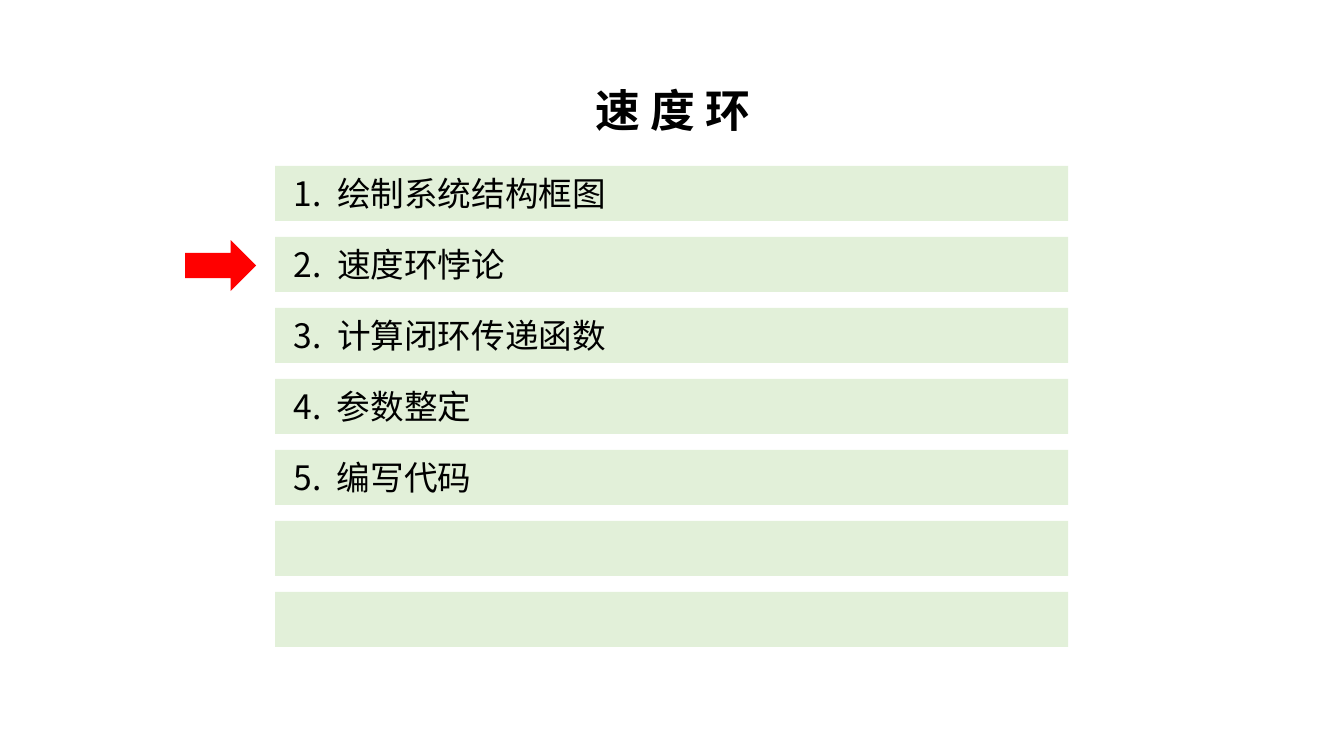
from lxml import etree
from pptx import Presentation
from pptx.dml.color import RGBColor
from pptx.enum.shapes import MSO_SHAPE
from pptx.enum.text import MSO_ANCHOR, PP_ALIGN
from pptx.oxml.ns import qn
from pptx.util import Inches, Pt

RECT, ARROW = MSO_SHAPE.RECTANGLE, MSO_SHAPE.RIGHT_ARROW
MIDDLE = MSO_ANCHOR.MIDDLE
LEFT, CENTER = PP_ALIGN.LEFT, PP_ALIGN.CENTER
SCALE = 914400 / 100.8
FONT = "Noto Sans CJK SC"
COLORS = {"ink": "000000", "bar": "E2F0D9", "mark": "FF0000"}
STEPS = ["绘制系统结构框图", "速度环悖论", "计算闭环传递函数", "参数整定", "编写代码"]
ROWS, TOP, PITCH = 7, 166, 71
TAB = 43


def px(*sizes):
    return [round(size * SCALE) for size in sizes]


class Agenda:
    """Draws the agenda's bars, labels and marker on one slide."""

    def __init__(self, deck):
        self.slide = deck.slides.add_slide(deck.slide_layouts[6])

    def block(self, kind, box, color):
        shape = self.slide.shapes.add_shape(kind, *px(*box))
        shape.shadow.inherit = False
        shape.fill.solid()
        shape.fill.fore_color.rgb = RGBColor.from_string(COLORS[color])
        shape.line.fill.background()

    def label(self, text, box, size, align=LEFT, bold=False, tab=None):
        frame = self.slide.shapes.add_textbox(*px(*box)).text_frame
        frame.word_wrap = True
        frame.vertical_anchor = MIDDLE
        frame.margin_top = frame.margin_bottom = 0
        para = frame.paragraphs[0]
        para.text = text
        para.alignment = align
        props = para._p.get_or_add_pPr()
        if tab:
            stops = etree.SubElement(props, qn("a:tabLst"))
            etree.SubElement(stops, qn("a:tab"), pos=str(px(tab)[0]), algn="l")
        font = para.font
        font.size, font.bold = Pt(size), bold
        font.color.rgb = RGBColor.from_string(COLORS["ink"])
        font.name = FONT
        etree.SubElement(props.find(qn("a:defRPr")), qn("a:ea"), typeface=FONT)


def main():
    deck = Presentation()
    deck.slide_width, deck.slide_height = Inches(13.33), Inches(7.5)
    page = Agenda(deck)
    page.label("速 度 环", (571, 77, 203, 65), 32, CENTER, True)
    for row in range(ROWS):
        page.block(RECT, (275, TOP + row * PITCH, 793, 55), "bar")
    for row, step in enumerate(STEPS):
        box = (284, TOP + 2 + row * PITCH, 71 + 34 * len(step), 50)
        page.label(f"{row + 1}.\t{step}", box, 24, tab=TAB)
    page.block(ARROW, (185, 240, 71, 51), "mark")
    deck.save("out.pptx")


if __name__ == "__main__":
    main()
